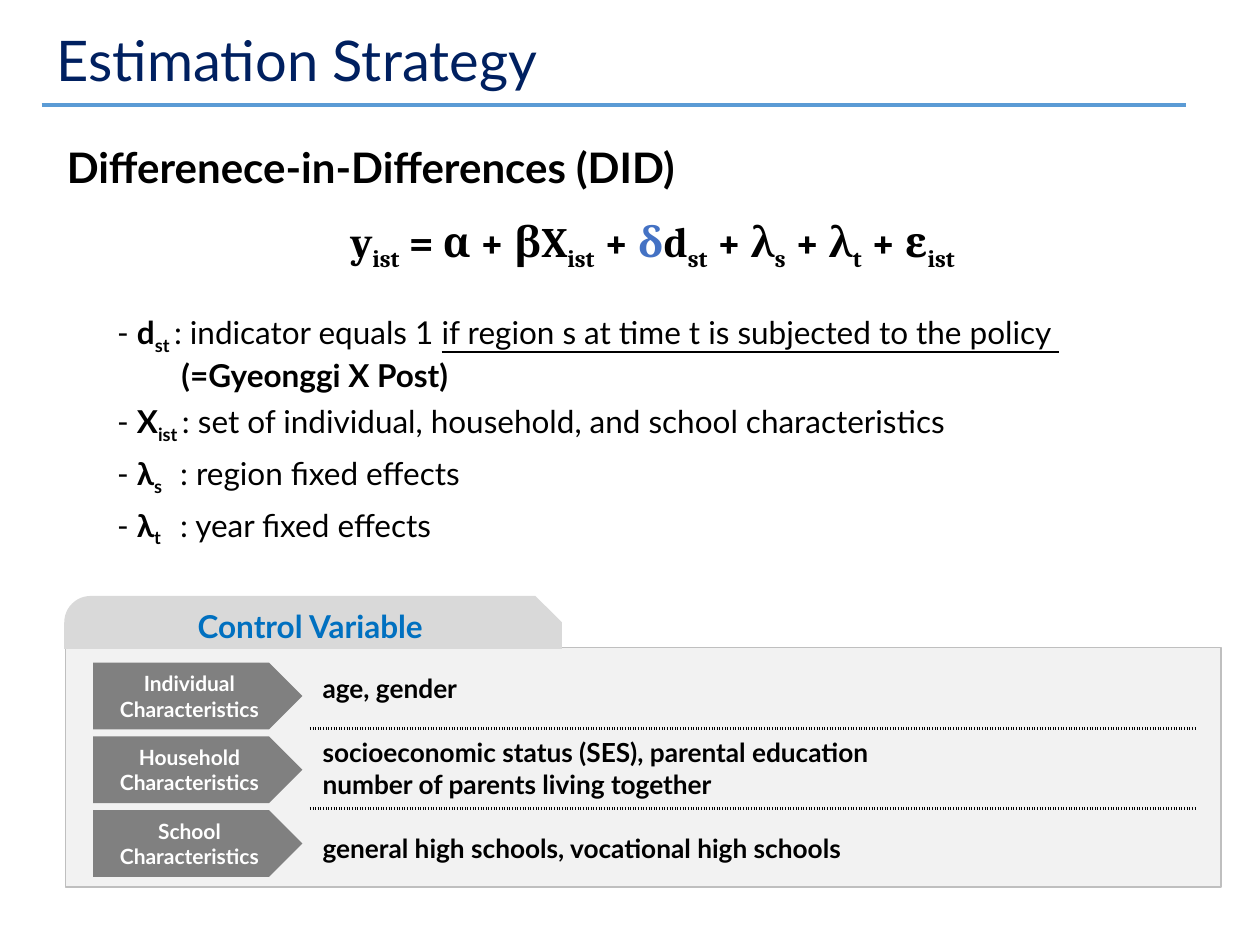
import pptx
import pptx.util
import pptx.dml.color
import pptx.enum.dml
import pptx.enum.shapes
import pptx.enum.text
import pptx.oxml.ns
from dataclasses import dataclass
from lxml import etree

Inches = pptx.util.Inches
Pt = pptx.util.Pt
Shape = pptx.enum.shapes.MSO_SHAPE
Align = pptx.enum.text.PP_ALIGN
Anchor = pptx.enum.text.MSO_ANCHOR
qn = pptx.oxml.ns.qn


@dataclass(frozen=True)
class Theme:
    sans: str = "Lato"
    serif: str = "Cambria"
    navy: str = "002060"
    rule: str = "5B9BD5"
    black: str = "000000"
    white: str = "FFFFFF"
    delta: str = "4472C4"
    blue: str = "0070C0"
    panel: str = "F2F2F2"
    edge: str = "BFBFBF"
    tab: str = "D9D9D9"
    arrow: str = "808080"
    title: int = 32
    head: int = 24
    text: int = 18
    cell: int = 15
    label: int = 12


THEME = Theme()
NO_STYLE = "{2D5ABB26-0587-4C30-8999-92F81FD0307C}"

# Run marks: b bold, s subscript, u underline, h highlight
FORMULA = [("y", "b"), ("ist", "bs"), (" = α + βX", "b"), ("ist", "bs"),
           (" + ", "b"), ("δ", "bh"), ("d", "b"), ("st", "bs"),
           (" + λ", "b"), ("s", "bs"), (" + λ", "b"), ("t", "bs"),
           (" + ε", "b"), ("ist", "bs")]
# Each term: space before, left indent, runs
TERMS = [
    (23, 0.4, [("- ", ""), ("d", "b"), ("st ", "bs"),
               (": indicator equals 1 ", ""),
               ("if region s at time t is subjected to the policy ", "u")]),
    (0, 0.91, [("(=Gyeonggi X Post)", "b")]),
    (5, 0.4, [("- ", ""), ("X", "b"), ("ist ", "bs"),
              (": set of individual, household, and school characteristics", "")]),
    (5, 0.4, [("- ", ""), ("λ", "b"), ("s", "bs"), ("\t: region fixed effects", "")]),
    (5, 0.4, [("- ", ""), ("λ", "b"), ("t", "bs"), ("\t: year fixed effects", "")]),
]
GROUPS = ["Individual", "Household", "School"]
VALUES = [["age, gender"],
          ["socioeconomic status (SES), parental education",
           "number of parents living together"],
          ["general high schools, vocational high schools"]]


def rgb(code):
    return pptx.dml.color.RGBColor.from_string(code)


def add_run(para, text, size, color, marks="", face=THEME.sans):
    run = para.add_run()
    run.text = text
    font = run.font
    font.name, font.size = face, Pt(size)
    font.bold = "b" in marks
    font.color.rgb = rgb(THEME.delta if "h" in marks else color)
    if "u" in marks:
        font.underline = True
    if "s" in marks:
        run._r.get_or_add_rPr().set("baseline", "-25000")


def add_lines(frame, lines, size, color, align):
    for i, line in enumerate(lines):
        para = frame.add_paragraph() if i else frame.paragraphs[0]
        para.alignment = align
        add_run(para, line, size, color, "b")


def add_block(slide, kind, box, fill, edge=None):
    shape = slide.shapes.add_shape(kind, *map(Inches, box))
    shape.shadow.inherit = False
    shape.fill.solid()
    shape.fill.fore_color.rgb = rgb(fill)
    if edge:
        shape.line.color.rgb = rgb(edge)
        shape.line.width = Pt(1)
    else:
        shape.line.fill.background()
    shape.text_frame.word_wrap = True
    shape.text_frame.vertical_anchor = Anchor.MIDDLE
    return shape


def place(shape, box, anchor):
    shape.left, shape.top, shape.width, shape.height = map(Inches, box)
    frame = shape.text_frame
    frame.word_wrap = True
    frame.auto_size = pptx.enum.text.MSO_AUTO_SIZE.NONE
    frame.vertical_anchor = anchor
    return frame


def add_title(slide):
    frame = place(slide.shapes.title, (0.25, 0.17, 9, 0.67), Anchor.MIDDLE)
    frame.margin_left = Inches(0.2)
    para = frame.paragraphs[0]
    para.alignment, para.line_spacing = Align.LEFT, 0.9
    add_run(para, "Estimation Strategy", THEME.title, THEME.navy)
    # Rule below the title
    line = slide.shapes.add_connector(
        pptx.enum.shapes.MSO_CONNECTOR.STRAIGHT,
        Inches(0.33), Inches(0.83), Inches(9.41), Inches(0.83))
    line.line.color.rgb = rgb(THEME.rule)
    line.line.width = Pt(2.25)
    etree.SubElement(line._element.spPr, qn("a:effectLst"))


def set_para(para, before, left, align=Align.LEFT, stop=None):
    para.alignment, para.line_spacing = align, 1.0
    para.space_before, para.space_after = Pt(before), Pt(0)
    props = para._p.get_or_add_pPr()
    props.set("marL", str(Inches(left)))
    props.set("indent", "0")
    etree.SubElement(props, qn("a:buNone"))
    if stop:
        tabs = etree.SubElement(props, qn("a:tabLst"))
        etree.SubElement(tabs, qn("a:tab"), pos=str(Inches(stop)), algn="l")


def add_body(slide):
    frame = place(slide.placeholders[1], (0.43, 1.07, 9.08, 3.62), Anchor.TOP)
    head = frame.paragraphs[0]
    set_para(head, 0, 0)
    add_run(head, "Differenece-in-Differences (DID)", THEME.head, THEME.black, "b")
    # Model equation
    model = frame.add_paragraph()
    set_para(model, 13.5, 0.42, Align.CENTER)
    for text, marks in FORMULA:
        add_run(model, text, THEME.head, THEME.black, marks, THEME.serif)
    # Meaning of each term
    for before, left, runs in TERMS:
        para = frame.add_paragraph()
        set_para(para, before, left, stop=0.92)
        for text, marks in runs:
            add_run(para, text, THEME.text, THEME.black, marks)


def add_panel(slide):
    add_block(slide, Shape.RECTANGLE, (0.52, 5.14, 9.17, 1.9),
              THEME.panel, THEME.edge)
    tab = add_block(slide, Shape.SNIP_ROUND_RECTANGLE,
                    (0.51, 4.73, 3.95, 0.42), THEME.tab)
    tab.adjustments[0] = tab.adjustments[1] = 0.5
    add_lines(tab.text_frame, ["Control Variable"], THEME.text, THEME.blue,
              Align.CENTER)
    for i, group in enumerate(GROUPS):
        arrow = add_block(slide, Shape.PENTAGON,
                          (0.74, 5.26 + i * 0.585, 1.66, 0.53), THEME.arrow)
        add_lines(arrow.text_frame, [group, "Characteristics"], THEME.label,
                  THEME.white, Align.CENTER)


def add_edge(cell, side):
    line = etree.SubElement(cell._tc.get_or_add_tcPr(), qn("a:" + side),
                            w=str(Pt(2.25)))
    fill = etree.SubElement(line, qn("a:solidFill"))
    etree.SubElement(fill, qn("a:srgbClr"), val=THEME.black)
    etree.SubElement(line, qn("a:prstDash"), val="sysDot")


def add_grid(slide):
    count = len(VALUES)
    grid = slide.shapes.add_table(count, 1, Inches(2.46), Inches(5.15),
                                  Inches(7.03), Inches(1.9)).table
    grid.first_row = grid.horz_banding = False
    grid._tbl.tblPr.find(qn("a:tableStyleId")).text = NO_STYLE
    for i, lines in enumerate(VALUES):
        cell = grid.cell(i, 0)
        cell.vertical_anchor = Anchor.MIDDLE
        add_lines(cell.text_frame, lines, THEME.cell, THEME.black, Align.LEFT)
        # Dotted lines between rows only
        if i > 0:
            add_edge(cell, "lnT")
        if i < count - 1:
            add_edge(cell, "lnB")
        cell.fill.background()


def main():
    deck = pptx.Presentation()
    deck.slide_width, deck.slide_height = Inches(10), Inches(7.5)
    slide = deck.slides.add_slide(deck.slide_layouts[1])
    add_title(slide)
    add_body(slide)
    add_panel(slide)
    add_grid(slide)
    deck.save("out.pptx")


if __name__ == "__main__":
    main()
